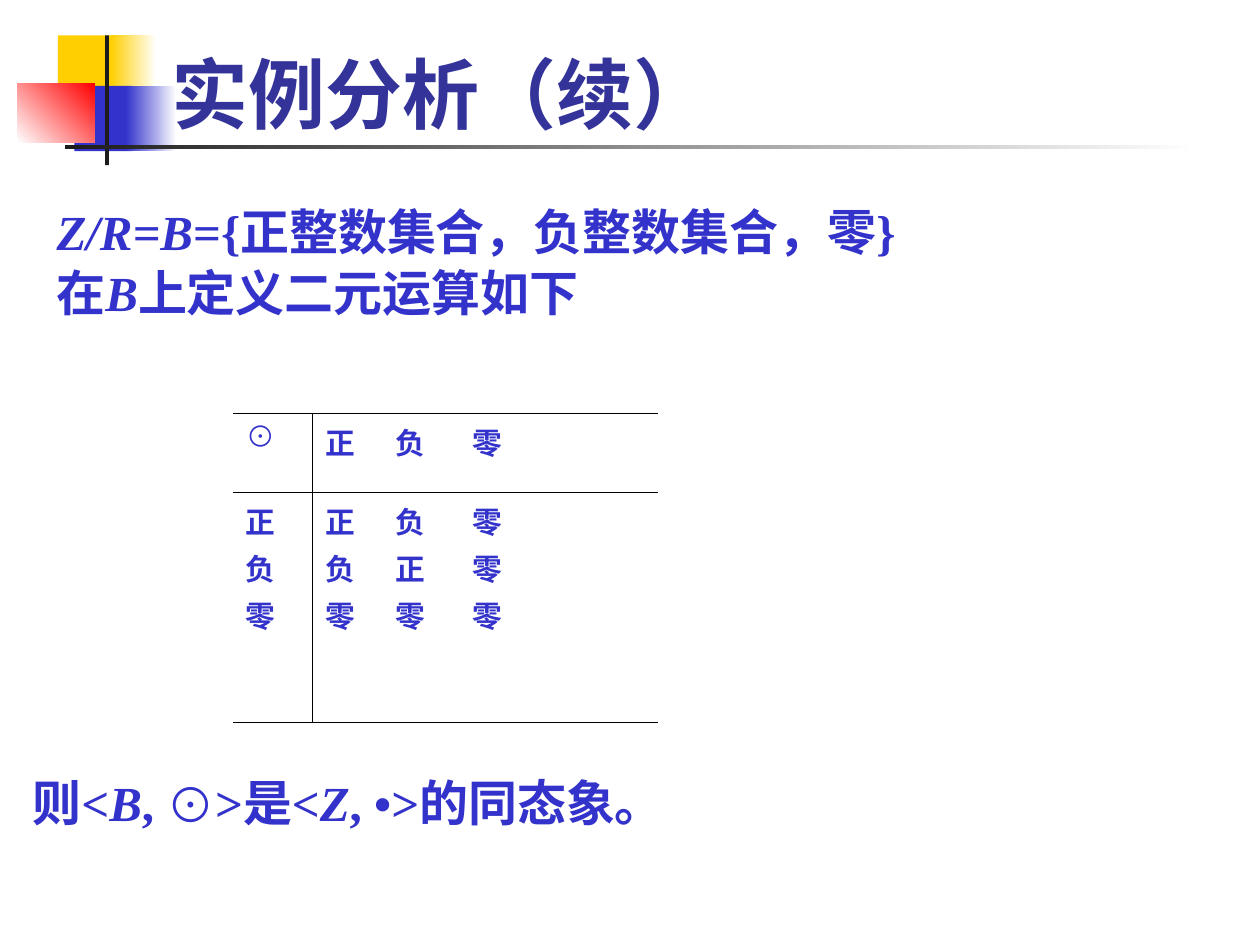
import pptx
import pptx.util
import pptx.dml.color
import pptx.enum.shapes
import pptx.enum.text
import pptx.oxml
import pptx.oxml.ns

Pt = pptx.util.Pt
RGBColor = pptx.dml.color.RGBColor

BLUE = RGBColor(0x33, 0x33, 0xCC)
NAVY = RGBColor(0x33, 0x33, 0x99)
YELLOW = RGBColor(0xFF, 0xCF, 0x01)
RED = RGBColor(0xFF, 0x00, 0x00)
BLACK = RGBColor(0x1C, 0x1C, 0x1C)
WHITE = RGBColor(0xFF, 0xFF, 0xFF)

# left, top, width, height, fill colours, gradient angle
ORNAMENTS = [
    (33.1, 20.2, 34.6, 37.4, [YELLOW], 0),
    (63.4, 20.2, 25.9, 37.4, [YELLOW, WHITE], 0),
    (42.5, 49, 33.1, 37.4, [BLUE], 0),
    (72, 49, 28.8, 37.4, [BLUE, WHITE], 0),
    (10, 47.6, 44, 33.9, [WHITE, RED], 45),
    (60, 20.2, 2.3, 74.2, [BLACK], 0),
    (36.9, 82.8, 648, 2.3, [BLACK, WHITE], 0),
]
TITLE = "实例分析（续）"
# Each paragraph is a list of (text, italic) runs.
DEFINITION = [
    [("Z/R=B", True), ("={正整数集合，负整数集合，零}", False)],
    [("在", False), ("B", True), ("上定义二元运算如下", False)],
]
CONCLUSION = [
    [("则<", False), ("B", True), (", ⊙>是<", False), ("Z", True), (", •>的同态象。", False)],
]
OPERATION_TABLE = [
    [["⊙"], ["正\t负\t零"]],
    [["正", "负", "零"], ["正\t负\t零", "负\t正\t零", "零\t零\t零"]],
]
COLUMN_WIDTHS = [45.4, 197.3]
ROW_HEIGHTS = [45.4, 131]
TAB_STOPS = [40, 84]
TABLE_LEFT, TABLE_TOP = 133.2, 236.2

BODY_FONT = {"name": "Times New Roman", "size": Pt(28), "bold": True}
TABLE_FONT = {**BODY_FONT, "size": Pt(17)}
TITLE_FONT = {"name": "Lato", "size": Pt(44), "bold": True}


def set_attributes(target, values):
    for name, value in values.items():
        setattr(target, name, value)


def add_run(paragraph, text, font, color, italic=False):
    run = paragraph.add_run()
    run.text = text
    set_attributes(run.font, {**font, "italic": italic})
    run.font.color.rgb = color


def fill_text(text_frame, paragraphs, font, spacing):
    for index, runs in enumerate(paragraphs):
        paragraph = text_frame.paragraphs[0] if index == 0 else text_frame.add_paragraph()
        set_attributes(paragraph, spacing)
        for text, italic in runs:
            add_run(paragraph, text, font, BLUE, italic)


def add_ornament(slide, left, top, width, height, colors, angle):
    shape = slide.shapes.add_shape(
        pptx.enum.shapes.MSO_SHAPE.RECTANGLE, Pt(left), Pt(top), Pt(width), Pt(height))
    shape.shadow.inherit = False
    shape.line.fill.background()
    if len(colors) == 1:
        shape.fill.solid()
        shape.fill.fore_color.rgb = colors[0]
        return
    shape.fill.gradient()
    shape.fill.gradient_angle = angle
    for stop, color in zip(shape.fill.gradient_stops, colors):
        stop.color.rgb = color


def add_title(slide):
    title = slide.shapes.title
    set_attributes(title, {"left": Pt(90.7), "top": Pt(5.8), "width": Pt(613.4), "height": Pt(77)})
    title.text_frame.vertical_anchor = pptx.enum.text.MSO_ANCHOR.BOTTOM
    paragraph = title.text_frame.paragraphs[0]
    paragraph.alignment = pptx.enum.text.PP_ALIGN.LEFT
    add_run(paragraph, TITLE, TITLE_FONT, NAVY)


def add_text(slide, box, paragraphs, spacing, wrap):
    text_frame = slide.shapes.add_textbox(*map(Pt, box)).text_frame
    text_frame.word_wrap = wrap
    fill_text(text_frame, paragraphs, BODY_FONT, spacing)


def set_borders(cell, drawn_sides):
    properties = cell._tc.get_or_add_tcPr()
    namespace = pptx.oxml.ns.nsdecls("a")
    for index, side in enumerate("LRTB"):
        fill = '<a:solidFill><a:srgbClr val="000000"/></a:solidFill>' if side in drawn_sides else "<a:noFill/>"
        border = pptx.oxml.parse_xml(f'<a:ln{side} {namespace} w="{Pt(0.45)}">{fill}</a:ln{side}>')
        properties.insert(index, border)


def add_tab_stops(paragraph):
    tabs = "".join(f'<a:tab pos="{Pt(stop)}" algn="l"/>' for stop in TAB_STOPS)
    paragraph._p.get_or_add_pPr().append(
        pptx.oxml.parse_xml(f'<a:tabLst {pptx.oxml.ns.nsdecls("a")}>{tabs}</a:tabLst>'))


def add_operation_table(slide):
    table = slide.shapes.add_table(
        len(ROW_HEIGHTS), len(COLUMN_WIDTHS), Pt(TABLE_LEFT), Pt(TABLE_TOP),
        Pt(sum(COLUMN_WIDTHS)), Pt(sum(ROW_HEIGHTS))).table
    set_attributes(table, {"first_row": False, "horz_banding": False})
    for column, width in zip(table.columns, COLUMN_WIDTHS):
        column.width = Pt(width)
    for row, height in zip(table.rows, ROW_HEIGHTS):
        row.height = Pt(height)
    for row_index, row in enumerate(OPERATION_TABLE):
        for column_index, lines in enumerate(row):
            cell = table.cell(row_index, column_index)
            cell.fill.background()
            set_borders(cell, "RTB" if column_index == 0 else "LTB")
            fill_text(cell.text_frame, [[(line, False)] for line in lines],
                      TABLE_FONT, {"space_before": Pt(2.1)})
            if column_index > 0:
                for paragraph in cell.text_frame.paragraphs:
                    add_tab_stops(paragraph)


def main():
    presentation = pptx.Presentation()
    set_attributes(presentation, {"slide_width": Pt(720), "slide_height": Pt(540)})
    slide = presentation.slides.add_slide(presentation.slide_layouts[5])
    for ornament in ORNAMENTS:
        add_ornament(slide, *ornament)
    add_title(slide)
    add_text(slide, (25.2, 117.4, 680.4, 102.2), DEFINITION,
             {"space_before": Pt(7), "line_spacing": 0.83}, True)
    add_operation_table(slide)
    add_text(slide, (11.5, 437.8, 401.8, 41), CONCLUSION, {}, False)
    presentation.save("out.pptx")


if __name__ == "__main__":
    main()
